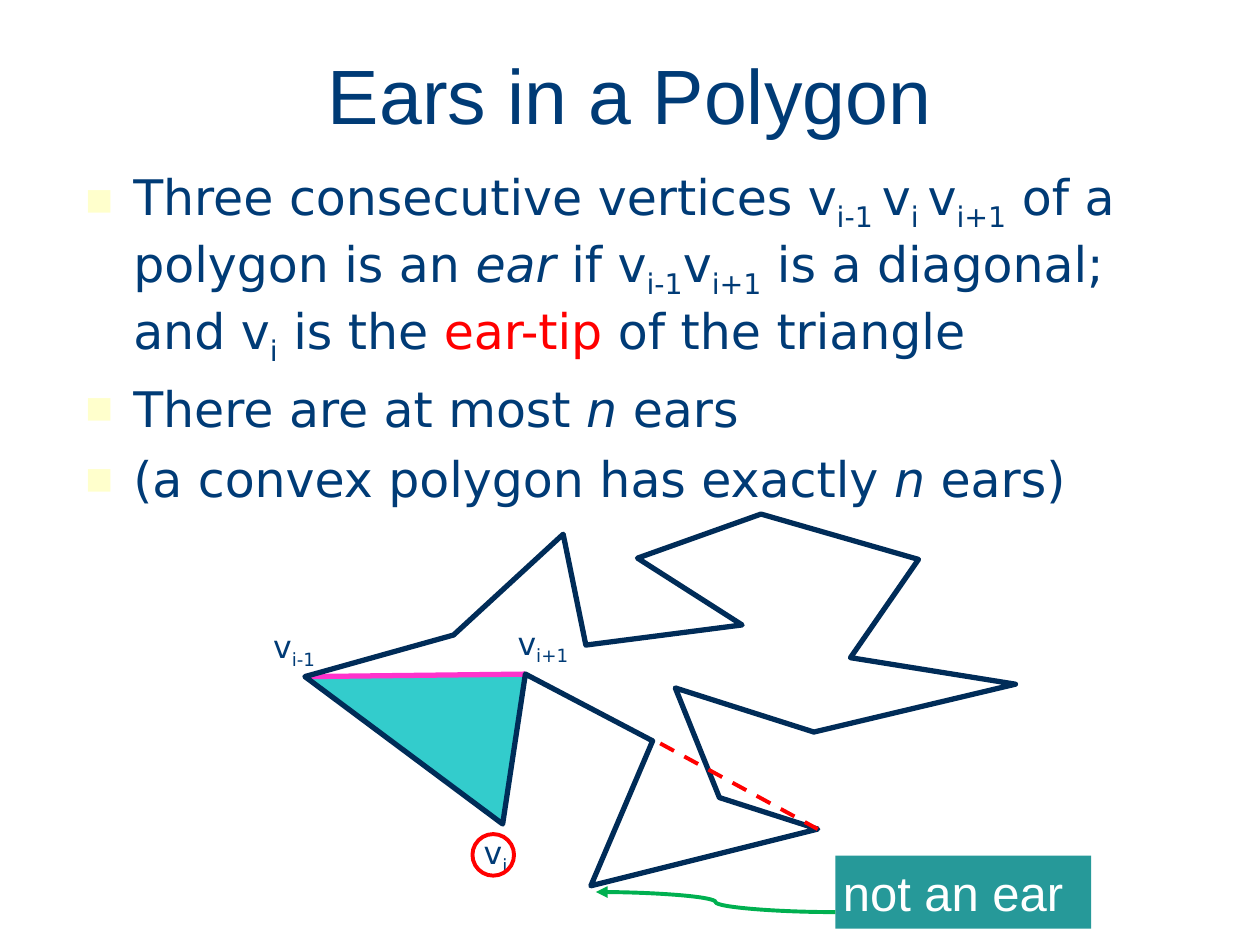
"""Build the slide on ears in a polygon."""
from lxml.etree import SubElement
from pptx import Presentation
from pptx.dml.color import RGBColor
from pptx.enum.dml import MSO_LINE
from pptx.enum.shapes import MSO_CONNECTOR, MSO_SHAPE
from pptx.enum.text import MSO_ANCHOR, PP_ALIGN
from pptx.oxml.ns import qn
from pptx.util import Inches, Pt

HUES = {
    "white": "FFFFFF", "text": "003B76", "mark": "FFFFCC", "red": "FF0000",
    "ear": "33CCCC", "chord": "FF33CC", "edge": "002C58",
    "label": "269999", "arrow": "00B050",
}


def hue(name):
    return RGBColor.from_string(HUES[name])


def write(frame, lines, size=28, font="DejaVu Sans", color="text",
          align=PP_ALIGN.LEFT, anchor=MSO_ANCHOR.TOP, wrap=True, bullet=False):
    """Fill a frame; runs split at | start with _ (sub), / (italic) or ! (red)."""
    frame.word_wrap = wrap
    frame.vertical_anchor = anchor
    for index, line in enumerate(lines):
        para = frame.add_paragraph() if index else frame.paragraphs[0]
        para.alignment = align
        if bullet:
            para.space_before = Pt(6.5)
            props = para._p.get_or_add_pPr()
            props.set("marL", str(Inches(0.38)))
            props.set("indent", str(Inches(-0.38)))
            tint = SubElement(props, qn("a:buClr"))
            SubElement(tint, qn("a:srgbClr"), val=HUES["mark"])
            SubElement(props, qn("a:buSzPct"), val="60000")
            SubElement(props, qn("a:buFont"), typeface=font)
            SubElement(props, qn("a:buChar"), char="■")
        for part in line.split("|"):
            kind = part[:1] if part[:1] in "_/!" else ""
            run = para.add_run()
            run.text = part[len(kind):]
            run.font.size = Pt(size)
            run.font.name = font
            run.font.color.rgb = hue("red" if kind == "!" else color)
            if kind == "/":
                run.font.italic = True
            if kind == "_":
                run.font._element.set("baseline", "-25000")


deck = Presentation()
deck.slide_width, deck.slide_height = Inches(10), Inches(7.5)
slide = deck.slides.add_slide(deck.slide_layouts[6])
slide.background.fill.solid()
slide.background.fill.fore_color.rgb = hue("white")
shapes = slide.shapes

title = shapes.add_textbox(Inches(0.5), Inches(0.12), Inches(9), Inches(1.25))
write(title.text_frame, ["Ears in a Polygon"], size=44, font="Arial",
      align=PP_ALIGN.CENTER, anchor=MSO_ANCHOR.MIDDLE)

body = shapes.add_textbox(Inches(0.58), Inches(1.27), Inches(9), Inches(2.73))
write(body.text_frame, [
    "Three consecutive vertices v|_i-1 |v|_i |v|_i+1| of a polygon is an |/ear"
    "| if v|_i-1|v|_i+1| is a diagonal; and v|_i| is the |!ear-tip"
    "| of the triangle",
    "There are at most |/n| ears",
    "(a convex polygon has exactly |/n| ears)",
], bullet=True)

prev, succ, tip = (2.42, 5.37), (4.17, 5.35), (3.99, 6.54)
ring = [
    (3.6, 5.04), (4.47, 4.24), (4.65, 5.12), (5.89, 4.96), (5.06, 4.43),
    (6.04, 4.08), (7.29, 4.44), (6.75, 5.22), (8.06, 5.43), (6.46, 5.81),
    (5.36, 5.46), (5.71, 6.33), (6.49, 6.58), (4.69, 7.03), (5.18, 5.88),
    succ, tip, prev,
]
for points, fill, line, closed in [
    ([prev, succ, tip], "ear", None, True),
    ([prev, succ], None, "chord", False),
    (ring, None, "edge", True),
]:
    spots = [(Inches(x), Inches(y)) for x, y in points]
    pen = shapes.build_freeform(*spots[0])
    pen.add_line_segments(spots[1:], close=closed)
    shape = pen.convert_to_shape()
    shape.shadow.inherit = False
    if fill:
        shape.fill.solid()
        shape.fill.fore_color.rgb = hue(fill)
    else:
        shape.fill.background()
    if line:
        shape.line.color.rgb = hue(line)
        shape.line.width = Pt(3)
    else:
        shape.line.fill.background()

for left, top, width, name in [
    (2.07, 4.93, 0.67, "v|_i-1"),
    (4.01, 4.9, 1, "v|_i+1"),
    (3.74, 6.56, 0.58, "v|_i"),
]:
    box = shapes.add_textbox(Inches(left), Inches(top), Inches(width), Inches(0.4))
    write(box.text_frame, [name], size=18)

ring_mark = shapes.add_shape(MSO_SHAPE.OVAL, Inches(3.75), Inches(6.62),
                             Inches(0.33), Inches(0.33))
ring_mark.shadow.inherit = False
ring_mark.fill.background()
ring_mark.line.color.rgb = hue("red")
ring_mark.line.width = Pt(2.25)

label = shapes.add_shape(MSO_SHAPE.RECTANGLE, Inches(6.63), Inches(6.79),
                         Inches(2.03), Inches(0.58))
label.shadow.inherit = False
label.fill.solid()
label.fill.fore_color.rgb = hue("label")
label.line.fill.background()
frame = label.text_frame
frame.margin_left = frame.margin_right = Inches(0.06)
frame.margin_top = frame.margin_bottom = Inches(0.06)
write(frame, ["not an ear"], font="Arial", color="white",
      anchor=MSO_ANCHOR.MIDDLE, wrap=False)

for kind, start, end, color in [
    (MSO_CONNECTOR.STRAIGHT, (5.24, 5.9), (6.49, 6.58), "red"),
    (MSO_CONNECTOR.CURVE, (6.63, 7.24), (4.73, 7.08), "arrow"),
]:
    link = shapes.add_connector(kind, *map(Inches, start + end))
    link.line.color.rgb = hue(color)
    link.line.width = Pt(2.25)
    if color == "red":
        link.line.dash_style = MSO_LINE.DASH
    else:
        SubElement(link.line._get_or_add_ln(), qn("a:tailEnd"), type="triangle")
    SubElement(link._element.spPr, qn("a:effectLst"))

deck.save("out.pptx")
